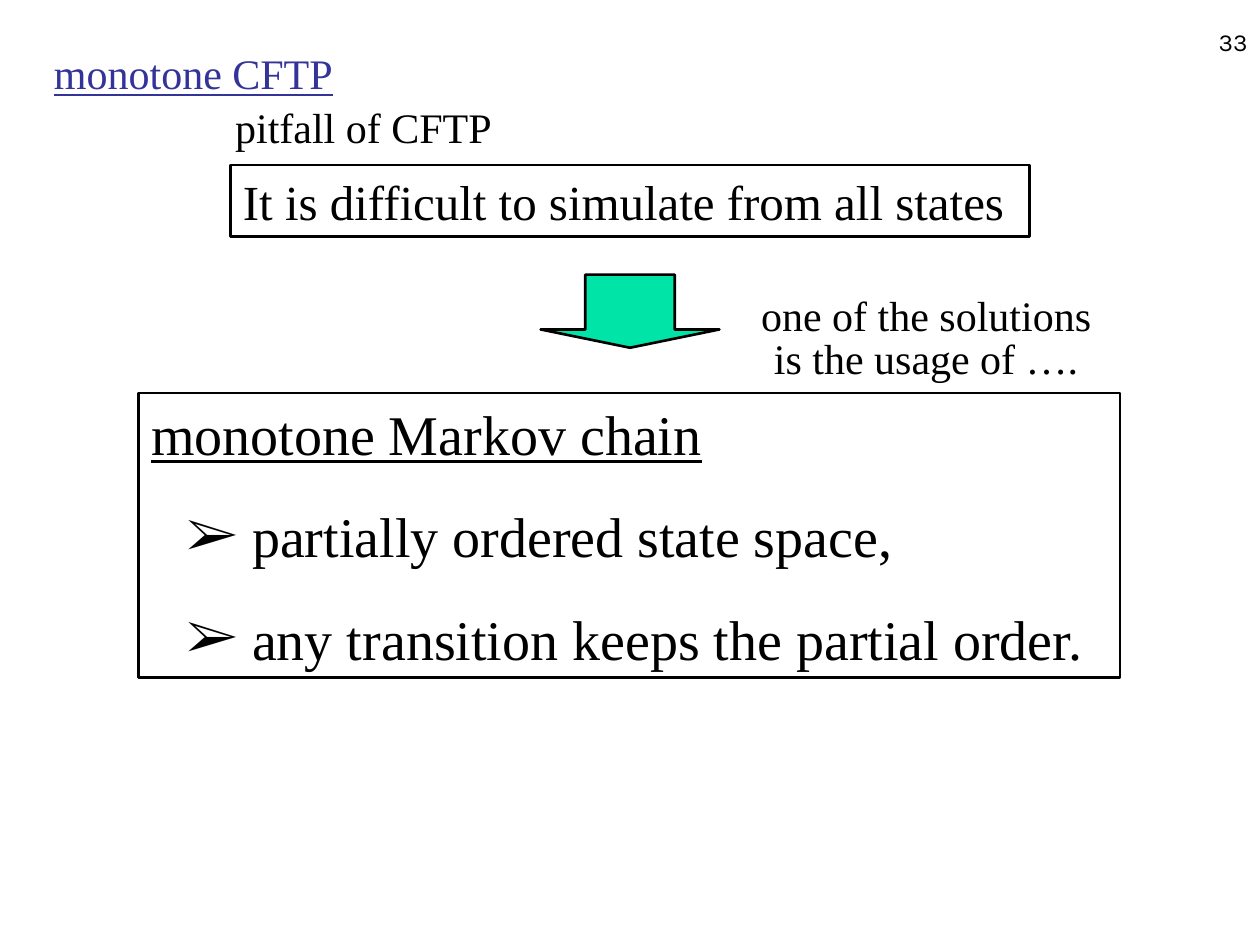
from pptx import Presentation
from pptx.dml.color import RGBColor
from pptx.enum.shapes import MSO_SHAPE
from pptx.enum.text import MSO_ANCHOR, PP_ALIGN
from pptx.oxml.ns import qn
from pptx.util import Inches, Pt
from lxml.etree import SubElement

BLACK = RGBColor(0x00, 0x00, 0x00)
BLUE = RGBColor(0x33, 0x33, 0x99)
GREEN = RGBColor(0x00, 0xE4, 0xA8)

SERIF = "Times New Roman"
BULLET_INDENT = 0.28

TITLE = "monotone CFTP"
PITFALL_LABEL = "pitfall of CFTP"
PITFALL = "It is difficult to simulate from all states"
SOLUTION = ["one of the solutions", "is the usage of …."]
CHAIN_HEADING = "monotone Markov chain"
CHAIN_PROPERTIES = [
    "partially ordered state space,",
    "any transition keeps the partial order.",
]
SLIDE_NUMBER = "33"


def add_bullet(paragraph):
    properties = paragraph._p.get_or_add_pPr()
    properties.set("marL", str(Inches(BULLET_INDENT)))
    properties.set("indent", "0")
    color = SubElement(SubElement(properties, qn("a:buClr")), qn("a:srgbClr"))
    color.set("val", str(BLACK))
    SubElement(properties, qn("a:buFont")).set("typeface", SERIF)
    SubElement(properties, qn("a:buChar")).set("char", "➢")


def write_paragraph(frame, text, size=24, font=SERIF, color=BLACK,
                    underline=False, align=PP_ALIGN.LEFT, before=0,
                    line_spacing=None, bullet=False):
    paragraph = frame.paragraphs[0]
    if paragraph.runs:
        paragraph = frame.add_paragraph()
    if bullet:
        add_bullet(paragraph)
        paragraph.level = 1
        text = " " + text
    paragraph.alignment = align
    paragraph.space_before = Pt(before)
    if line_spacing:
        paragraph.line_spacing = line_spacing
    run = paragraph.add_run()
    run.text = text
    run.font.size = Pt(size)
    run.font.name = font
    run.font.color.rgb = color
    run.font.underline = underline


def add_text_frame(slide, left, top, width, height,
                   anchor=MSO_ANCHOR.TOP, wrap=True):
    box = slide.shapes.add_textbox(
        Inches(left), Inches(top), Inches(width), Inches(height))
    box.text_frame.word_wrap = wrap
    box.text_frame.vertical_anchor = anchor
    return box.text_frame


def add_outlined_shape(slide, kind, left, top, width, height, fill=None):
    shape = slide.shapes.add_shape(
        kind, Inches(left), Inches(top), Inches(width), Inches(height))
    shape.shadow.inherit = False
    if fill is None:
        shape.fill.background()
    else:
        shape.fill.solid()
        shape.fill.fore_color.rgb = fill
    shape.line.color.rgb = BLACK
    shape.line.width = Pt(1.5)
    shape.text_frame.vertical_anchor = MSO_ANCHOR.MIDDLE
    shape.text_frame.word_wrap = True
    return shape


def main():
    presentation = Presentation()
    presentation.slide_width = Inches(10)
    presentation.slide_height = Inches(7.5)
    slide = presentation.slides.add_slide(presentation.slide_layouts[6])

    title = add_text_frame(slide, 0.33, 0.33, 8.52, 0.5, MSO_ANCHOR.BOTTOM)
    write_paragraph(title, TITLE, color=BLUE, underline=True)

    pitfall = add_outlined_shape(
        slide, MSO_SHAPE.RECTANGLE, 1.83, 1.31, 6.34, 0.57)
    write_paragraph(pitfall.text_frame, PITFALL, size=28)

    chain = add_outlined_shape(
        slide, MSO_SHAPE.RECTANGLE, 1.1, 3.12, 7.79, 2.26).text_frame
    write_paragraph(chain, CHAIN_HEADING, size=32, underline=True)
    for text in CHAIN_PROPERTIES:
        write_paragraph(chain, text, size=32, before=20, bullet=True)

    arrow = add_outlined_shape(
        slide, MSO_SHAPE.DOWN_ARROW, 4.29, 2.18, 1.42, 0.58, fill=GREEN)
    arrow.adjustments[0] = 0.5
    arrow.adjustments[1] = 0.25

    solution = add_text_frame(slide, 5.94, 2.25, 2.82, 0.79, wrap=False)
    first, second = SOLUTION
    write_paragraph(solution, first, align=PP_ALIGN.CENTER)
    write_paragraph(solution, second, align=PP_ALIGN.CENTER,
                    before=15, line_spacing=0.2)

    label = add_text_frame(slide, 1.73, 0.76, 2.31, 0.5)
    write_paragraph(label, PITFALL_LABEL, align=PP_ALIGN.CENTER)

    number = add_text_frame(slide, 7.92, 0, 2.08, 0.5, MSO_ANCHOR.BOTTOM)
    write_paragraph(number, SLIDE_NUMBER, size=14, font="Karla",
                    align=PP_ALIGN.RIGHT)

    presentation.save("out.pptx")


if __name__ == "__main__":
    main()
